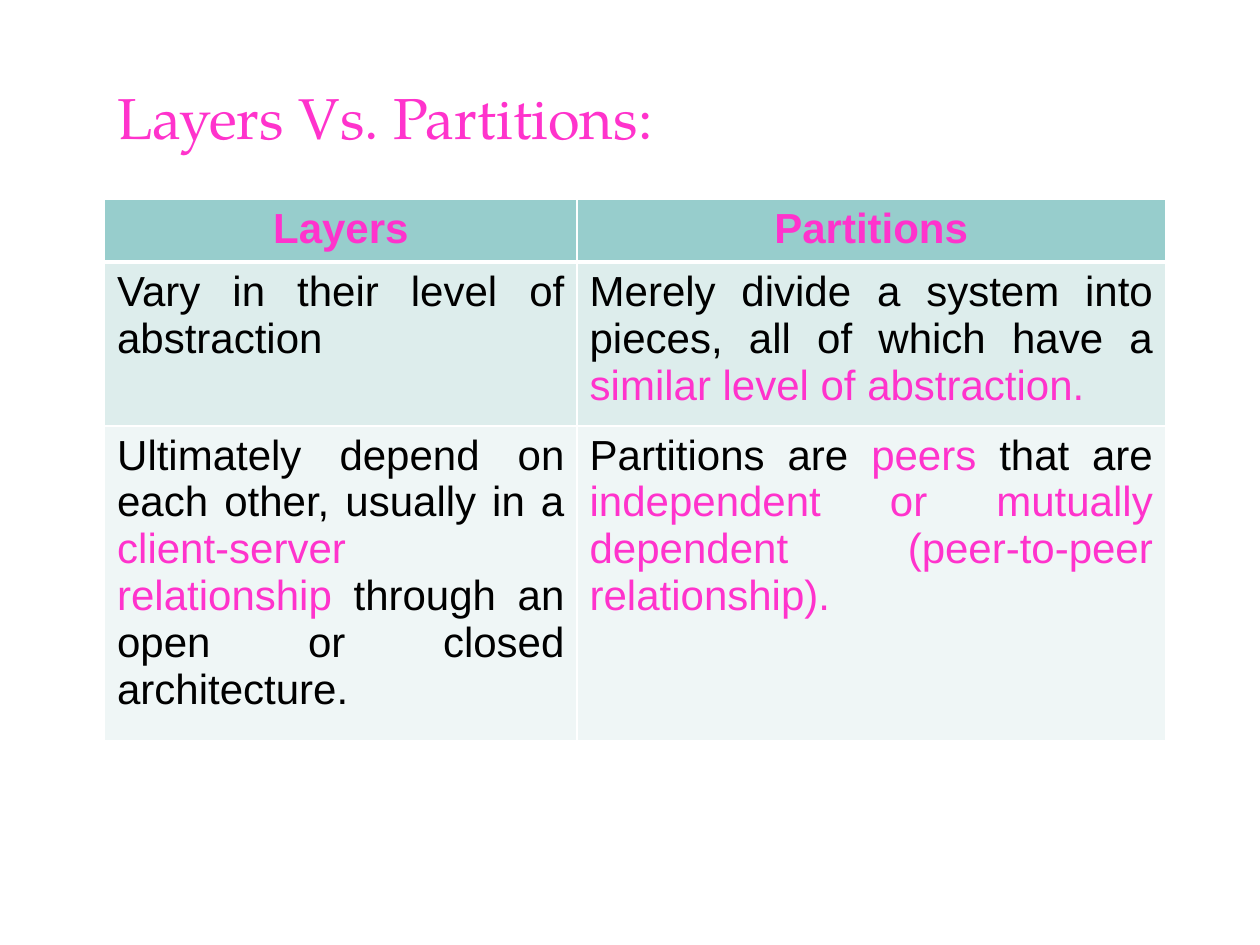
import pptx
import pptx.util
import pptx.dml.color
import pptx.enum.text
import pptx.oxml
import pptx.oxml.ns

Inches = pptx.util.Inches
Align = pptx.enum.text.PP_ALIGN
COLORS = {"pink": "FF33CC", "black": "000000", "border": "FFFFFF",
          "header": "97CDCC", "odd": "DDEDEC", "even": "EFF6F6"}


def add_span(para, text, color, **font_values):
    span = para.add_run()
    span.text = text
    span.font.color.rgb = pptx.dml.color.RGBColor.from_string(COLORS[color])
    for name, value in font_values.items():
        setattr(span.font, name, value)


def add_border(cell, side, points):
    line = pptx.oxml.parse_xml(
        f'<a:{side} {pptx.oxml.ns.nsdecls("a")} w="{pptx.util.Pt(points)}">'
        f'<a:solidFill><a:srgbClr val="{COLORS["border"]}"/></a:solidFill></a:{side}>')
    cell._tc.get_or_add_tcPr().append(line)


deck = pptx.Presentation()
deck.slide_width, deck.slide_height = Inches(10), Inches(7.5)
page = deck.slides.add_slide(deck.slide_layouts[5])

title = page.shapes.title
title_place = {"left": 0.83, "top": 0, "width": 8.42, "height": 1.25}
for name, value in title_place.items():
    setattr(title, name, Inches(value))
title.text_frame.vertical_anchor = pptx.enum.text.MSO_ANCHOR.BOTTOM
title_para = title.text_frame.paragraphs[0]
title_para.alignment = Align.LEFT
add_span(title_para, "Layers Vs. Partitions:", "pink",
         name="TeX Gyre Pagella", size=pptx.util.Pt(33))

rows = [
    {"height": 0.5, "fill": "header", "align": Align.CENTER, "bold": True, "cells": [
        [("Layers", "pink")],
        [("Partitions", "pink")]]},
    {"height": 1.3, "fill": "odd", "align": Align.JUSTIFY, "bold": False, "cells": [
        [("Vary in their level of abstraction", "black")],
        [("Merely divide a system into pieces, all of which have a ", "black"),
         ("similar level of abstraction.", "pink")]]},
    {"height": 2.5, "fill": "even", "align": Align.JUSTIFY, "bold": False, "cells": [
        [("Ultimately depend on each other, usually in a ", "black"),
         ("client-server relationship", "pink"),
         (" through an open or closed architecture.", "black")],
        [("Partitions are ", "black"), ("peers ", "pink"), ("that are ", "black"),
         ("independent or mutually dependent (peer-to-peer relationship).", "pink")]]},
]
column_widths = [3.75, 4.67]

table = page.shapes.add_table(
    len(rows), len(column_widths), Inches(0.83), Inches(1.58),
    Inches(sum(column_widths)), Inches(sum(row["height"] for row in rows))).table
for column, width in zip(table.columns, column_widths):
    column.width = Inches(width)

for row_index, row in enumerate(rows):
    table.rows[row_index].height = Inches(row["height"])
    for column_index, spans in enumerate(row["cells"]):
        cell = table.cell(row_index, column_index)
        borders = {"lnL": 1, "lnR": 1, "lnT": 3 if row_index == 1 else 1,
                   "lnB": 3 if row_index == 0 else 1}
        for side, points in borders.items():
            add_border(cell, side, points)
        cell.fill.solid()
        cell.fill.fore_color.rgb = pptx.dml.color.RGBColor.from_string(COLORS[row["fill"]])
        para = cell.text_frame.paragraphs[0]
        para.alignment = row["align"]
        for text, color in spans:
            add_span(para, text, color, name="Arial",
                     size=pptx.util.Pt(24), bold=row["bold"])

deck.save("out.pptx")
